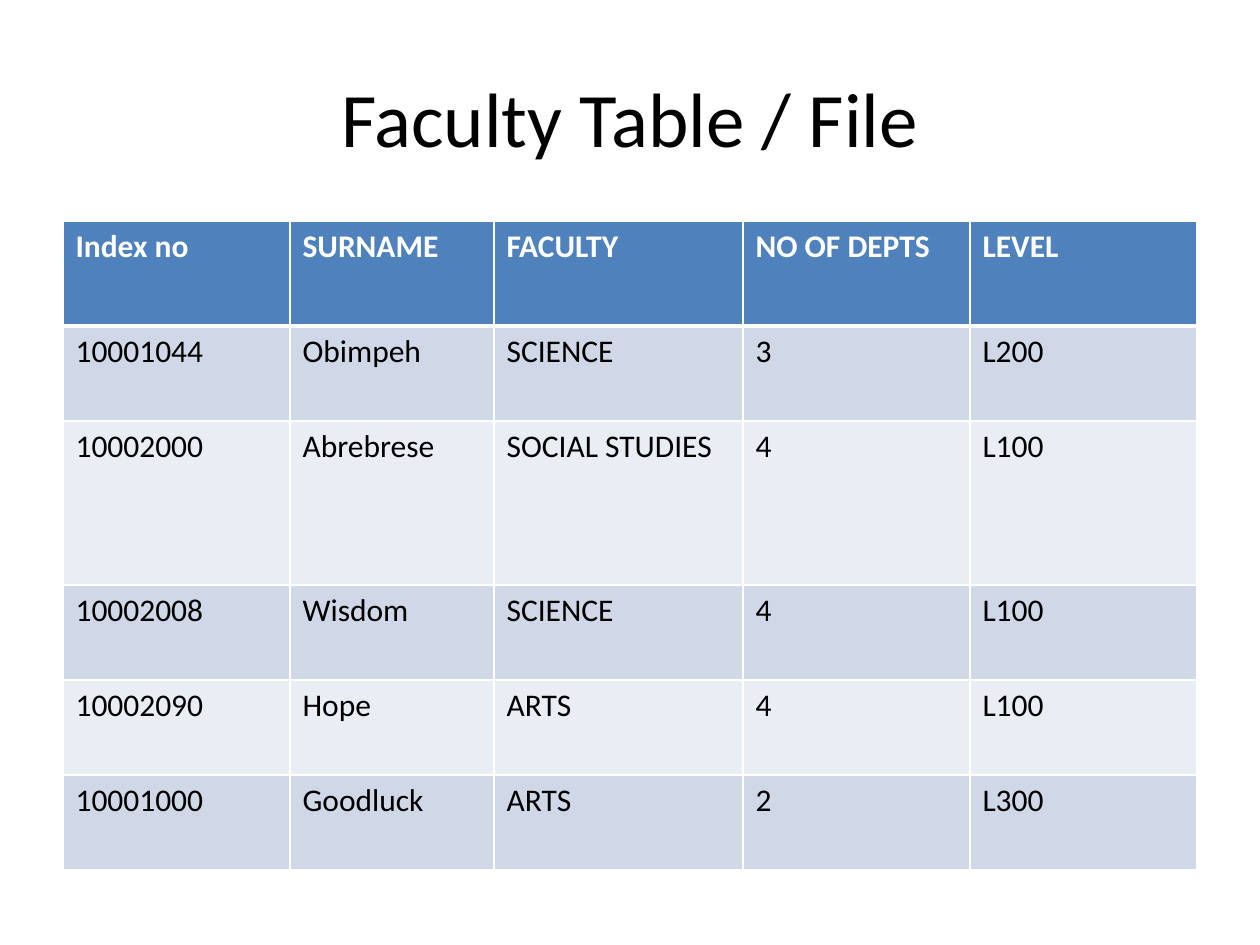
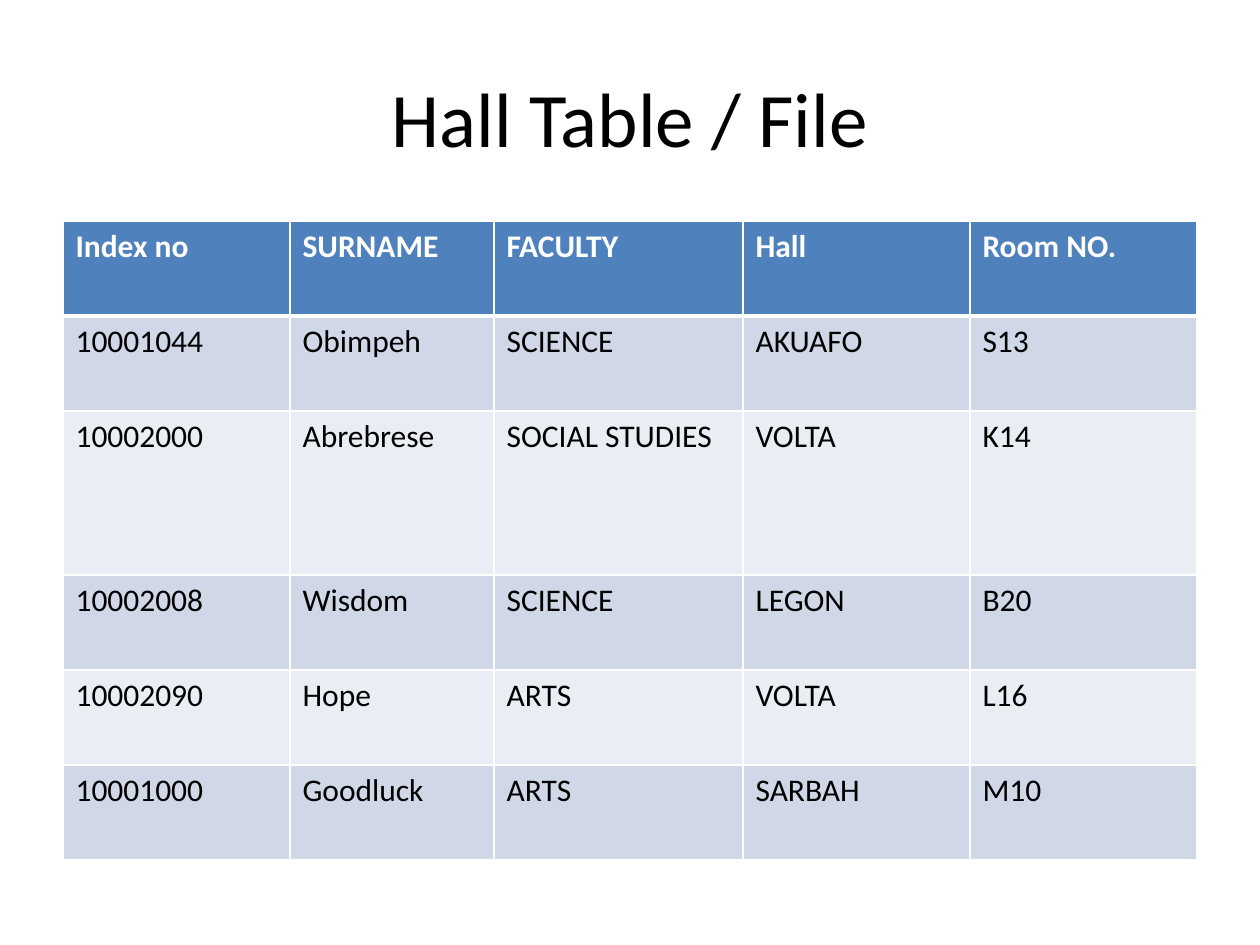
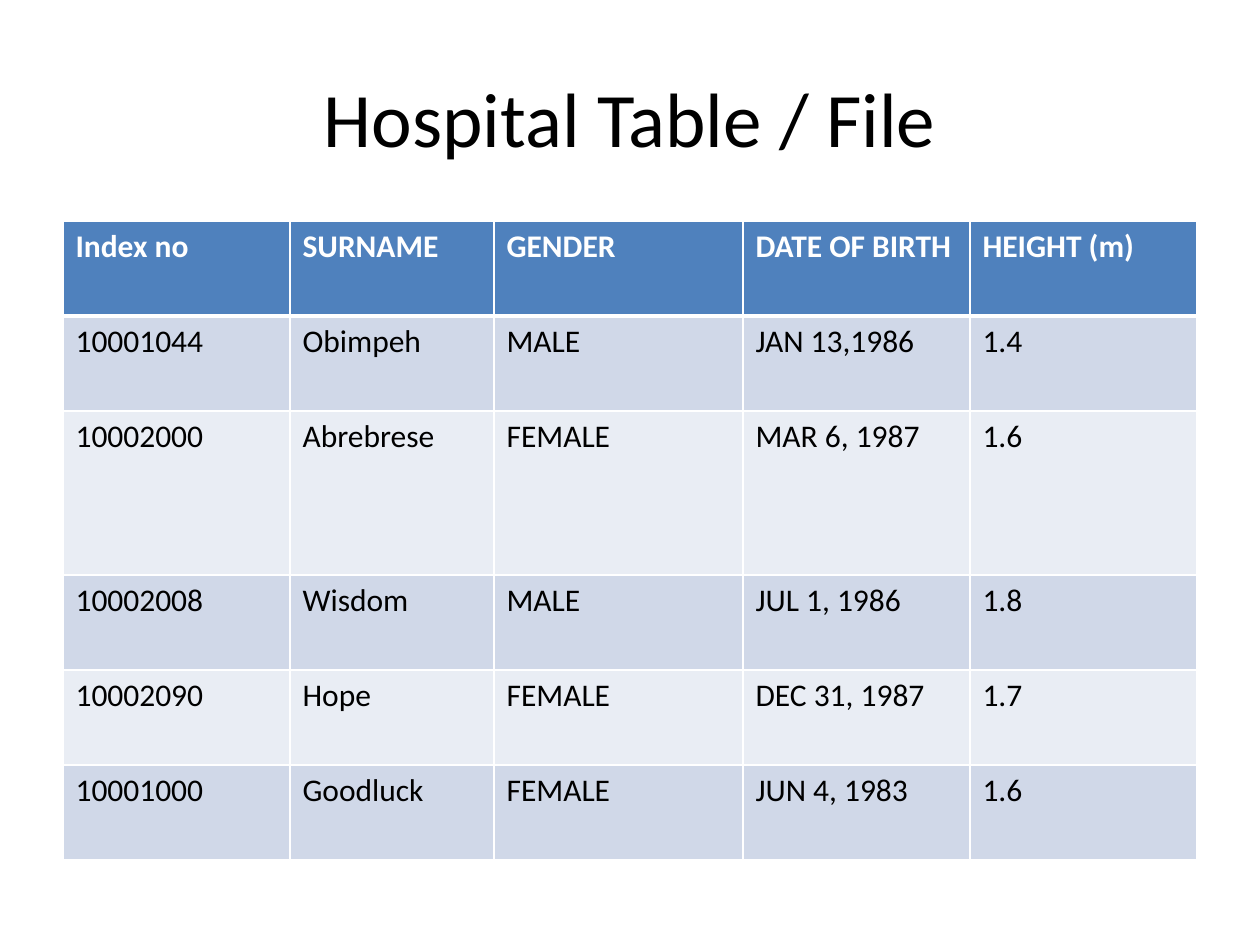
from dataclasses import dataclass

from lxml.etree import SubElement
from pptx import Presentation
from pptx.dml.color import RGBColor
from pptx.enum.text import MSO_ANCHOR, PP_ALIGN
from pptx.oxml.ns import qn
from pptx.presentation import Presentation as Deck
from pptx.slide import Slide
from pptx.table import _Cell as Cell
from pptx.text.text import _Paragraph as Para
from pptx.util import Emu, Pt

SCALE = 914400 / 126


@dataclass(frozen=True)
class Theme:
    """Colours, font and type sizes of the deck."""
    font: str = "Calibri"
    ink: str = "000000"
    white: str = "FFFFFF"
    head: str = "4F81BD"
    bands: tuple[str, str] = ("D0D8E8", "E9EDF4")
    title: int = 44
    body: int = 18
    thin: int = 1
    thick: int = 3


@dataclass(frozen=True)
class Box:
    """A place on the slide, in pixels."""
    left: int
    top: int
    width: int
    height: int


@dataclass(frozen=True)
class Field:
    """One table column: its heading and its values."""
    name: str
    values: tuple[str, ...]


@dataclass(frozen=True)
class Sheet:
    """One slide: a title, a head row height and its own fields."""
    title: str
    head: int
    fields: tuple[Field, ...]


THEME = Theme()
TITLE = Box(63, 38, 1134, 158)
LEFT, TOP = 63, 221
WIDTHS = (227, 204, 249, 227, 227)
HEIGHTS = (95, 164, 95, 95, 95)

KEYS = (
    Field("Index no", ("10001044", "10002000", "10002008", "10002090", "10001000")),
    Field("SURNAME", ("Obimpeh", "Abrebrese", "Wisdom", "Hope", "Goodluck")),
)
FACULTY = Field("FACULTY", ("SCIENCE", "SOCIAL STUDIES", "SCIENCE", "ARTS", "ARTS"))
SHEETS = (
    Sheet("Faculty Table / File", 105, (
        FACULTY,
        Field("NO OF DEPTS", ("3", "4", "4", "4", "2")),
        Field("LEVEL", ("L200", "L100", "L100", "L100", "L300")),
    )),
    Sheet("Hall Table / File", 95, (
        FACULTY,
        Field("Hall", ("AKUAFO", "VOLTA", "LEGON", "VOLTA", "SARBAH")),
        Field("Room NO.", ("S13", "K14", "B20", "L16", "M10")),
    )),
    Sheet("Hospital Table / File", 95, (
        Field("GENDER", ("MALE", "FEMALE", "MALE", "FEMALE", "FEMALE")),
        Field("DATE OF BIRTH", ("JAN 13,1986", "MAR 6, 1987", "JUL 1, 1986",
                                "DEC 31, 1987", "JUN 4, 1983")),
        Field("HEIGHT (m)", ("1.4", "1.6", "1.8", "1.7", "1.6")),
    )),
)


def px(length: int) -> Emu:
    """Turn pixels into EMU."""
    return Emu(round(length * SCALE))


def style(para: Para, size: int, color: str, bold: bool = False) -> None:
    """Set the font of a paragraph."""
    font = para.font
    font.name, font.size, font.bold = THEME.font, Pt(size), bold
    font.color.rgb = RGBColor.from_string(color)


def edge(cell: Cell, side: str, width: int) -> None:
    """Draw one white border of a cell; call before its fill is set."""
    line = SubElement(cell._tc.get_or_add_tcPr(), qn(f"a:ln{side}"), w=str(Pt(width)))
    fill = SubElement(line, qn("a:solidFill"))
    SubElement(fill, qn("a:srgbClr"), val=THEME.white)


def draw_cell(cell: Cell, text: str, row: int) -> None:
    """Write and format one cell, as a heading in row 0."""
    head = row == 0
    cell.text = text
    style(cell.text_frame.paragraphs[0], THEME.body,
          THEME.white if head else THEME.ink, head)
    for side in "LRTB":
        rule = (side, row) in (("B", 0), ("T", 1))
        edge(cell, side, THEME.thick if rule else THEME.thin)
    cell.fill.solid()
    color = THEME.head if head else THEME.bands[(row - 1) % 2]
    cell.fill.fore_color.rgb = RGBColor.from_string(color)


def draw_title(slide: Slide, text: str) -> None:
    """Place and format the slide title."""
    shape = slide.shapes.title
    shape.left, shape.top = px(TITLE.left), px(TITLE.top)
    shape.width, shape.height = px(TITLE.width), px(TITLE.height)
    frame = shape.text_frame
    frame.text = text
    frame.vertical_anchor = MSO_ANCHOR.MIDDLE
    para = frame.paragraphs[0]
    para.alignment = PP_ALIGN.CENTER
    style(para, THEME.title, THEME.ink)


def draw_table(slide: Slide, sheet: Sheet) -> None:
    """Draw the key fields and the fields of the sheet as a table."""
    fields = KEYS + sheet.fields
    heights = (sheet.head, *HEIGHTS)
    table = slide.shapes.add_table(
        len(heights), len(fields), px(LEFT), px(TOP),
        px(sum(WIDTHS)), px(sum(heights))).table
    for row, height in zip(table.rows, heights):
        row.height = px(height)
    for col, (field, width) in enumerate(zip(fields, WIDTHS)):
        table.columns[col].width = px(width)
        for row, text in enumerate((field.name, *field.values)):
            draw_cell(table.cell(row, col), text, row)


def draw_sheet(deck: Deck, sheet: Sheet) -> None:
    """Add one slide with its title and table."""
    slide = deck.slides.add_slide(deck.slide_layouts.get_by_name("Title Only"))
    draw_title(slide, sheet.title)
    draw_table(slide, sheet)


def main() -> None:
    """Build and save the deck."""
    deck = Presentation()
    deck.slide_width, deck.slide_height = px(1260), px(945)
    for sheet in SHEETS:
        draw_sheet(deck, sheet)
    deck.save("out.pptx")


main()
